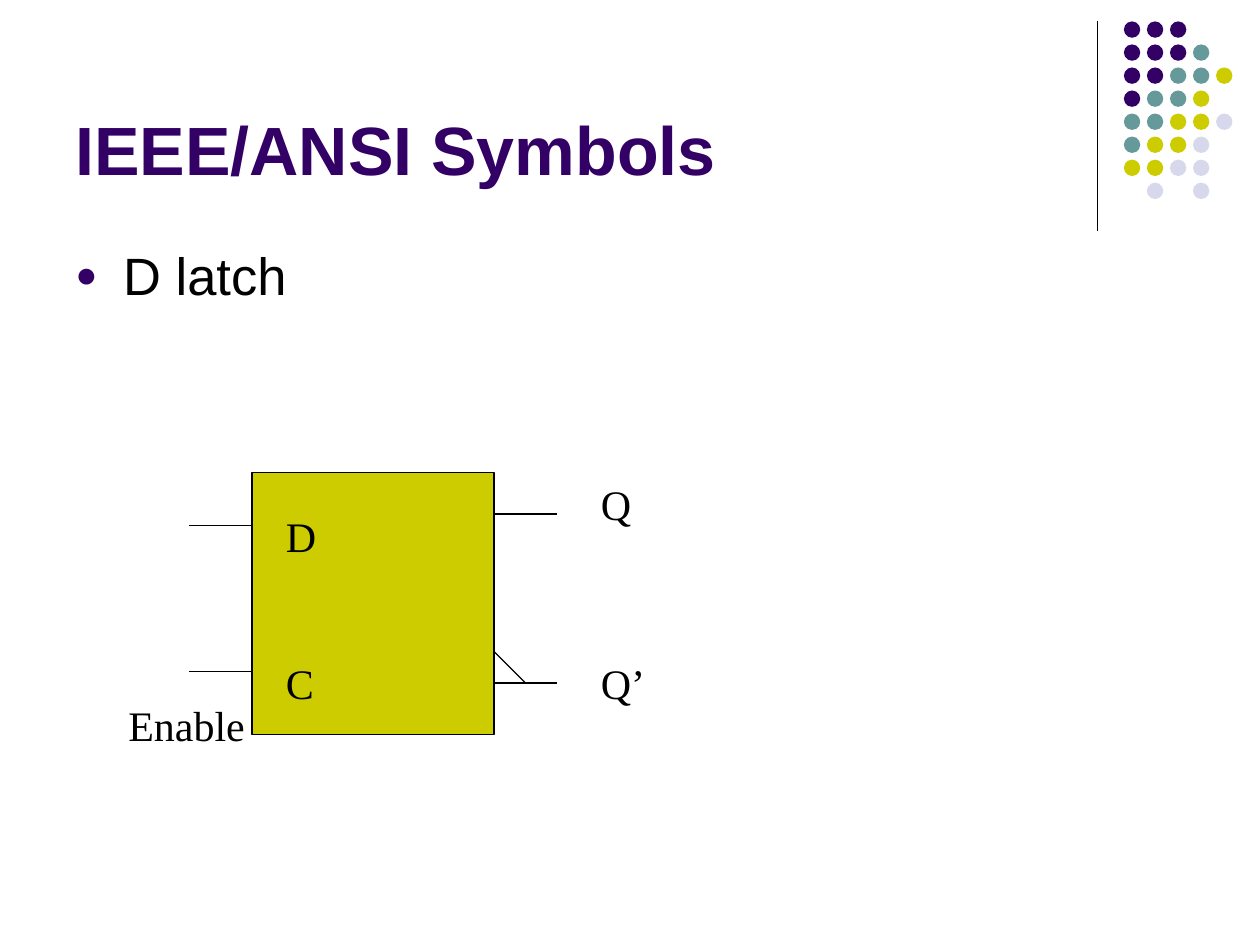
from lxml import etree
from pptx import Presentation
from pptx import util as u
from pptx.dml.color import RGBColor
from pptx.enum import shapes, text
from pptx.oxml import ns

PURPLE, TEAL, OLIVE, LILAC = "330066", "669999", "CCCC00", "D8D8EC"
BLACK = "000000"


def rgb(value):
    return RGBColor.from_string(value)


class Canvas:
    """Drawing style and the current slide."""
    line_width = u.Pt(0.75)
    label_font = "Times New Roman"

    def __init__(self, s):
        self.s = s

    def shape(self, kind, x, y, w, h, fill, line=None):
        sp = self.s.shapes.add_shape(
            kind, u.Inches(x), u.Inches(y), u.Inches(w), u.Inches(h))
        sp.shadow.inherit = False
        sp.fill.solid()
        sp.fill.fore_color.rgb = rgb(fill)
        if line:
            sp.line.color.rgb = rgb(line)
            sp.line.width = self.line_width
        else:
            sp.line.fill.background()

    def line(self, x1, y1, x2, y2):
        sp = self.s.shapes.add_connector(
            shapes.MSO_CONNECTOR.STRAIGHT,
            u.Inches(x1), u.Inches(y1), u.Inches(x2), u.Inches(y2))
        sp.line.color.rgb = rgb(BLACK)
        sp.line.width = self.line_width
        etree.SubElement(sp._element.spPr, ns.qn("a:effectLst"))

    def text(self, words, x, y, w, h, size=24, font=label_font, color=BLACK,
             bold=False, wrap=False, anchor=text.MSO_ANCHOR.TOP):
        sp = self.s.shapes.add_textbox(
            u.Inches(x), u.Inches(y), u.Inches(w), u.Inches(h))
        tf = sp.text_frame
        tf.text = words
        tf.word_wrap = wrap
        if not wrap:
            tf.auto_size = text.MSO_AUTO_SIZE.SHAPE_TO_FIT_TEXT
        tf.vertical_anchor = anchor
        p = tf.paragraphs[0]
        r = p.runs[0]
        r.font.name, r.font.size, r.font.bold = font, u.Pt(size), bold
        r.font.color.rgb = rgb(color)
        return p

    def bullet(self, p, char, color, percent, indent):
        pPr = p._p.get_or_add_pPr()
        pPr.set("marL", str(u.Inches(indent)))
        pPr.set("indent", str(-u.Inches(indent)))
        clr = etree.SubElement(pPr, ns.qn("a:buClr"))
        etree.SubElement(clr, ns.qn("a:srgbClr"), val=color)
        etree.SubElement(pPr, ns.qn("a:buSzPct"), val=str(percent * 1000))
        etree.SubElement(pPr, ns.qn("a:buFont"), typeface="Arial")
        etree.SubElement(pPr, ns.qn("a:buChar"), char=char)


def main():
    prs = Presentation()
    prs.slide_width, prs.slide_height = u.Inches(10), u.Inches(7.5)
    c = Canvas(prs.slides.add_slide(prs.slide_layouts[6]))

    # Corner ornament: a rule and a grid of dots, one letter per dot
    c.line(8.71, 0.17, 8.71, 1.83)
    dot_colors = {"P": PURPLE, "T": TEAL, "O": OLIVE, "L": LILAC}
    dot_rows = ["PPP", "PPPT", "PPTTO", "PTTO", "TTOOL", "TOOL", "OOLL", ".L.L"]
    pitch = (1.45 - 0.17) / (len(dot_rows) - 1)
    for row, dots in enumerate(dot_rows):
        for col, dot in enumerate(dots):
            if dot in dot_colors:
                c.shape(shapes.MSO_SHAPE.OVAL, 8.92 + col * pitch, 0.17 + row * pitch,
                        0.13, 0.13, dot_colors[dot])

    # Title and bullet
    c.text("IEEE/ANSI Symbols", 0.5, 0.13, 8.25, 1.42, size=39, font="Arial",
           color=PURPLE, bold=True, wrap=True, anchor=text.MSO_ANCHOR.BOTTOM)
    p = c.text("D latch", 0.5, 1.88, 9, 4.82, size=30, font="Arial", wrap=True)
    c.bullet(p, "●", PURPLE, 70, 0.38)

    # Latch body with its pins
    left, right, pin = 2, 3.92, 0.5
    c.shape(shapes.MSO_SHAPE.RECTANGLE, left, 3.75, right - left, 2.08, OLIVE, BLACK)
    for y in (4.17, 5.33):
        c.line(left - pin, y, left, y)
    for y in (4.08, 5.42):
        c.line(right, y, right + pin, y)

    # Active-low wedge on the inverted output
    c.line(right, 5.17, right + 0.25, 5.42)

    # Pin labels
    for words, x, y, w in [("Enable", 0.92, 5.5, 1.14), ("D", 2.17, 4, 0.44),
                           ("C", 2.17, 5.17, 0.42), ("Q", 4.67, 3.75, 0.44),
                           ("Q’", 4.67, 5.17, 0.55)]:
        c.text(words, x, y, w, 0.5)

    prs.save("out.pptx")


if __name__ == "__main__":
    main()
